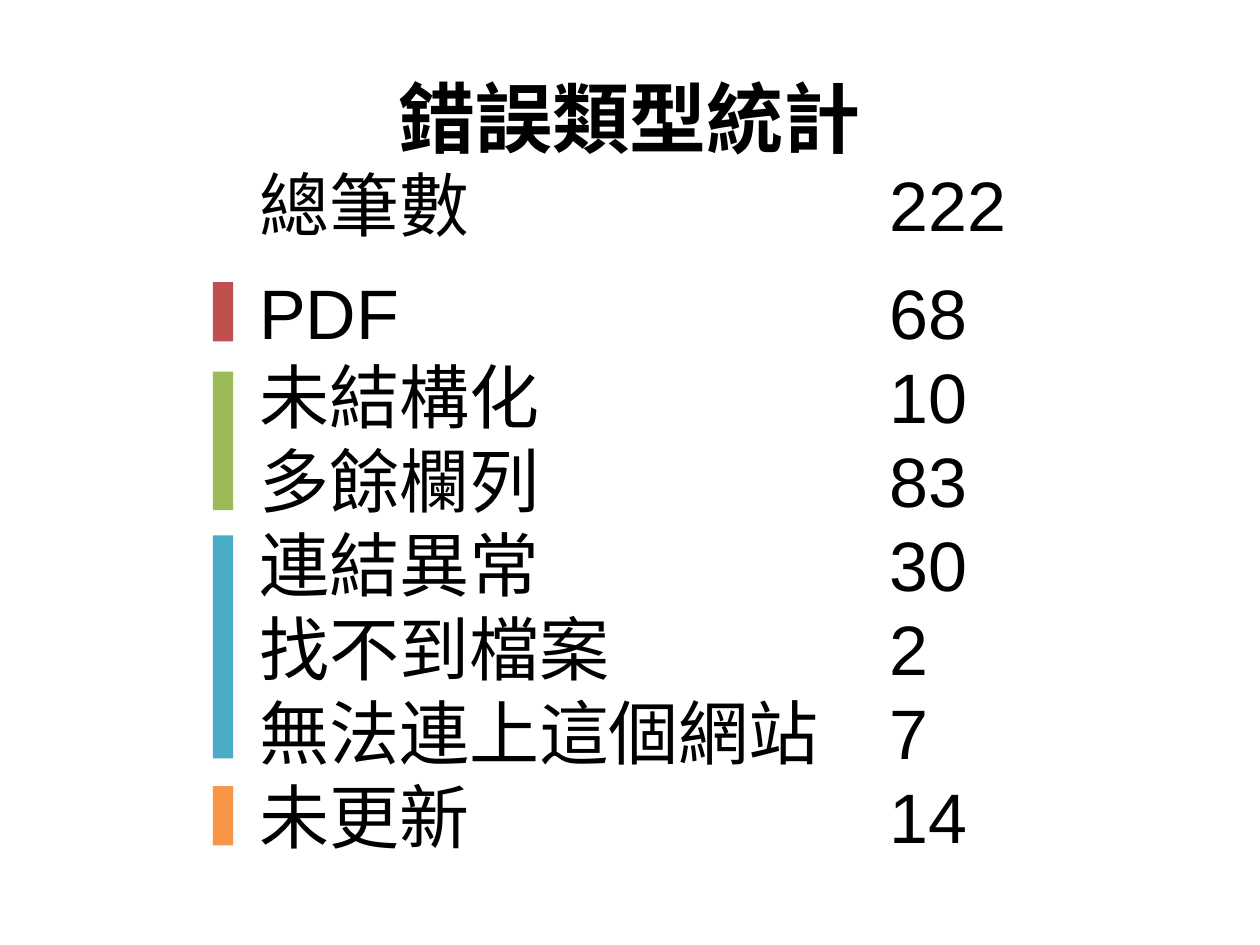
"""Build the error type statistics slide."""
from dataclasses import dataclass

from lxml.etree import SubElement
from pptx import Presentation
from pptx.dml.color import RGBColor
from pptx.enum.shapes import MSO_SHAPE
from pptx.enum.text import MSO_ANCHOR, PP_ALIGN
from pptx.oxml.ns import qn
from pptx.util import Inches, Pt


@dataclass(frozen=True)
class Theme:
    font: str = "Arial"
    text: str = "000000"
    red: str = "C0504D"
    green: str = "9BBB59"
    blue: str = "4BACC6"
    orange: str = "F79646"
    title_size: int = 44
    body_size: int = 40


theme = Theme()


def add_text(p, text, *, size=theme.body_size, bold=False, align=PP_ALIGN.LEFT, tab=None):
    p.alignment = align
    if tab is not None:
        tabs = SubElement(p._p.get_or_add_pPr(), qn("a:tabLst"))
        SubElement(tabs, qn("a:tab"), pos=str(tab), algn="l")
    r = p.add_run()
    r.text = text
    r.font.name = theme.font
    r.font.size = Pt(size)
    r.font.bold = bold
    r.font.color.rgb = RGBColor.from_string(theme.text)
    SubElement(r._r.get_or_add_rPr(), qn("a:ea"), typeface=theme.font)


prs = Presentation()
prs.slide_width, prs.slide_height = Inches(10), Inches(7.5)
s = prs.slides.add_slide(prs.slide_layouts[5])

title = s.shapes.title
title.left, title.top = Inches(0.5), Inches(0.3)
title.width, title.height = Inches(9), Inches(1.25)
title.text_frame.vertical_anchor = MSO_ANCHOR.MIDDLE
add_text(title.text_frame.paragraphs[0], "錯誤類型統計",
         size=theme.title_size, bold=True, align=PP_ALIGN.CENTER)

total = [("總筆數", 222)]
errors = [
    ("PDF", 68),
    ("未結構化", 10),
    ("多餘欄列", 83),
    ("連結異常", 30),
    ("找不到檔案", 2),
    ("無法連上這個網站", 7),
    ("未更新", 14),
]
for top, height, rows in [(1.23, 0.77, total), (2.09, 4.81, errors)]:
    box = s.shapes.add_textbox(Inches(1.96), Inches(top), Inches(6.19), Inches(height))
    tf = box.text_frame
    tf.word_wrap = True
    for i, (label, count) in enumerate(rows):
        p = tf.add_paragraph() if i else tf.paragraphs[0]
        add_text(p, f"{label}\t{count}", tab=Inches(5))

groups = [
    (2.24, 0.47, theme.red),
    (2.95, 1.1, theme.green),
    (4.25, 1.77, theme.blue),
    (6.24, 0.47, theme.orange),
]
for top, height, color in groups:
    bar = s.shapes.add_shape(MSO_SHAPE.RECTANGLE, Inches(1.69), Inches(top),
                             Inches(0.16), Inches(height))
    bar.shadow.inherit = False
    bar.fill.solid()
    bar.fill.fore_color.rgb = RGBColor.from_string(color)
    bar.line.fill.background()

prs.save("out.pptx")
